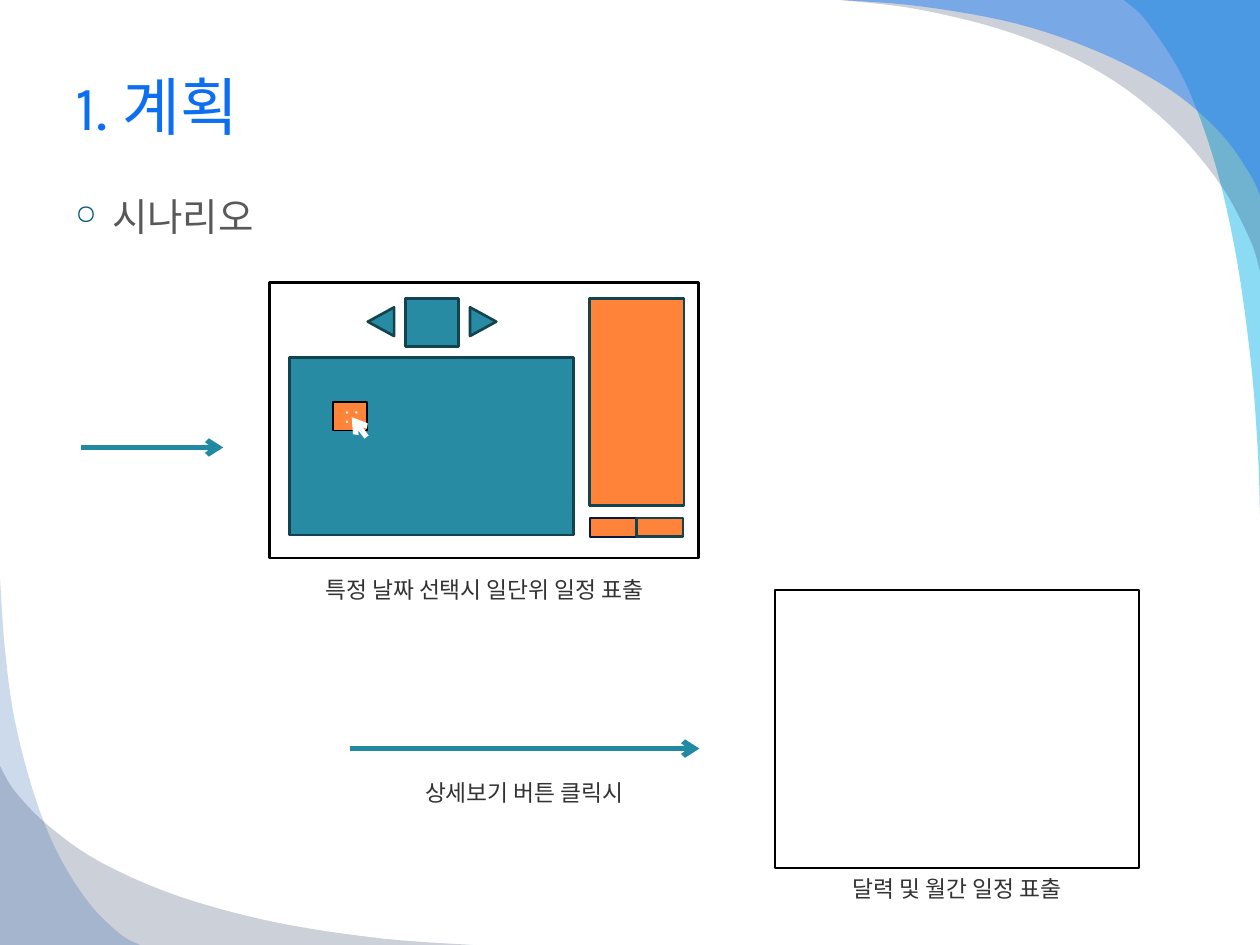
import dataclasses

import lxml.etree
import pptx
import pptx.dml.color
import pptx.enum.shapes
import pptx.enum.text
import pptx.oxml.ns
import pptx.util

Cm = pptx.util.Cm
Pt = pptx.util.Pt
SHAPES = pptx.enum.shapes.MSO_SHAPE
ALIGN = pptx.enum.text.PP_ALIGN
ANCHOR = pptx.enum.text.MSO_ANCHOR
qn = pptx.oxml.ns.qn


@dataclasses.dataclass(frozen=True)
class Theme:
    heading_font: str = "Karla"
    caption_font: str = "Arial"
    title_size: int = 36
    body_size: int = 22
    caption_size: int = 13
    title: str = "0C6FF2"
    body: str = "595959"
    bullet: str = "005876"
    caption: str = "323232"
    teal: str = "268BA3"
    teal_edge: str = "12434E"
    arrow: str = "2289A2"
    orange: str = "FF843A"
    button_edge: str = "031C3C"
    black: str = "000000"
    white: str = "FFFFFF"
    cyan: str = "00B1E9"
    navy: str = "021741"
    sky: str = "247FF4"
    royal: str = "084AA1"


THEME = Theme()

# Each swoosh: colour, opacity in %, slide corner it fills, points on its curve (cm)
SWOOSHES = [
    (THEME.cyan, 45, (25.4, 0),
     [(22.66, 0), (23.14, 0.46), (23.88, 1.63), (24.49, 3.28),
      (24.92, 5.16), (25.22, 7.32), (25.36, 9.14), (25.4, 10.36)]),
    (THEME.navy, 20, (25.4, 0),
     [(16.94, 0), (18.57, 0.2), (20.47, 0.69), (22.2, 1.47),
      (23.6, 2.54), (24.61, 3.73), (25.2, 4.83), (25.4, 5.46)]),
    (THEME.sky, 49, (25.4, 0),
     [(16.94, 0), (18.57, 0.13), (20.5, 0.48), (22.2, 1.07),
      (23.62, 1.83), (24.61, 2.69), (25.2, 3.51), (25.4, 3.94)]),
    (THEME.navy, 20, (0, 19.05),
     [(0, 15.44), (0.3, 15.95), (0.97, 16.64), (2.01, 17.37),
      (3.58, 18.06), (5.54, 18.59), (7.7, 18.92), (9.53, 19.05)]),
    (THEME.royal, 20, (0, 19.05),
     [(2.82, 19.05), (2.41, 18.82), (1.8, 18.21), (1.19, 17.25),
      (0.71, 16.08), (0.3, 14.53), (0.1, 13.08), (0, 11.63)]),
]


def rgb(colour):
    return pptx.dml.color.RGBColor.from_string(colour)


def smooth(points, steps=6):
    """Catmull-Rom curve through the points."""
    padded = [points[0], *points, points[-1]]
    curve = []
    for a, b, c, d in zip(padded, padded[1:], padded[2:], padded[3:]):
        for step in range(steps):
            t = step / steps
            curve.append(tuple(
                (2 * q + (r - p) * t + (2 * p - 5 * q + 4 * r - s) * t ** 2
                 + (3 * q - p - 3 * r + s) * t ** 3) / 2
                for p, q, r, s in zip(a, b, c, d)))
    return curve + [points[-1]]


def add_swoosh(slide, colour, opacity, corner, points):
    outline = [(Cm(x), Cm(y)) for x, y in smooth(points)]
    builder = slide.shapes.build_freeform(Cm(corner[0]), Cm(corner[1]))
    builder.add_line_segments(outline, close=True)
    swoosh = builder.convert_to_shape()
    swoosh.shadow.inherit = False
    swoosh.line.fill.background()
    swoosh.fill.solid()
    swoosh.fill.fore_color.rgb = rgb(colour)
    tint = swoosh.fill._xPr.find(".//" + qn("a:srgbClr"))
    lxml.etree.SubElement(tint, qn("a:alpha"), val=str(opacity * 1000))


def add_block(slide, box, fill=None, edge=THEME.teal_edge, weight=1.5,
              kind=SHAPES.RECTANGLE, rotation=0):
    block = slide.shapes.add_shape(kind, *map(Cm, box))
    block.shadow.inherit = False
    block.rotation = rotation
    if fill:
        block.fill.solid()
        block.fill.fore_color.rgb = rgb(fill)
    else:
        block.fill.background()
    block.line.color.rgb = rgb(edge)
    block.line.width = Pt(weight)


def add_arrow(slide, start, end, colour=THEME.arrow):
    arrow = slide.shapes.add_connector(
        pptx.enum.shapes.MSO_CONNECTOR.STRAIGHT, *map(Cm, (*start, *end)))
    arrow.line.color.rgb = rgb(colour)
    arrow.line.width = Pt(3)
    lxml.etree.SubElement(arrow.line._get_or_add_ln(), qn("a:tailEnd"), type="arrow")
    lxml.etree.SubElement(arrow._element.spPr, qn("a:effectLst"))


def add_text(slide, box, words, font, size, colour, align=ALIGN.LEFT,
             anchor=ANCHOR.TOP, bullet=None):
    frame = slide.shapes.add_textbox(*map(Cm, box)).text_frame
    frame.word_wrap = True
    frame.vertical_anchor = anchor
    line = frame.paragraphs[0]
    line.text = words
    line.alignment = align
    if bullet:
        add_bullet(line, bullet)
    line.font.name = font
    line.font.size = Pt(size)
    line.font.color.rgb = rgb(colour)


def add_bullet(line, symbol):
    props = line._p.get_or_add_pPr()
    indent = Cm(0.74)
    props.set("marL", str(indent))
    props.set("indent", str(-indent))
    tint = lxml.etree.SubElement(props, qn("a:buClr"))
    lxml.etree.SubElement(tint, qn("a:srgbClr"), val=THEME.bullet)
    lxml.etree.SubElement(props, qn("a:buSzPct"), val="70000")
    lxml.etree.SubElement(props, qn("a:buChar"), char=symbol)


def add_caption(slide, box, words):
    add_text(slide, box, words, THEME.caption_font, THEME.caption_size,
             THEME.caption, align=ALIGN.CENTER)


def add_day_screen(slide):
    # Window, calendar and schedule panel
    add_block(slide, (5.44, 5.69, 8.64, 5.56), edge=THEME.black)
    add_block(slide, (5.84, 7.21, 5.72, 3.58), THEME.teal)
    add_block(slide, (11.89, 6.02, 1.9, 4.17), THEME.orange)
    # Month with previous and next buttons
    add_block(slide, (8.18, 6.02, 1.07, 0.97), THEME.teal)
    for left, rotation in ((7.39, 270), (9.45, 90)):
        add_block(slide, (left, 6.22, 0.58, 0.53), THEME.teal,
                  kind=SHAPES.ISOSCELES_TRIANGLE, rotation=rotation)
    # Chosen day and the two buttons below the panel
    add_block(slide, (6.71, 8.1, 0.69, 0.58), THEME.orange, THEME.black, 1)
    add_block(slide, (11.89, 10.44, 0.94, 0.38), THEME.orange, THEME.button_edge, 1)
    add_block(slide, (12.83, 10.44, 0.94, 0.38), THEME.orange)
    # Mouse pointer with click marks
    add_arrow(slide, (7.39, 8.81), (7.09, 8.41), THEME.white)
    add_block(slide, (6.99, 8.31, 0.2, 0.2), edge=THEME.white, weight=1,
              kind=SHAPES.CORNER_TABS)


def main():
    deck = pptx.Presentation()
    deck.slide_width, deck.slide_height = Cm(25.4), Cm(19.05)
    slide = deck.slides.add_slide(deck.slide_layouts[6])

    # Corner decoration
    for swoosh in SWOOSHES:
        add_swoosh(slide, *swoosh)

    # Headings
    add_text(slide, (1.27, 0.84, 22.86, 2.57), "1. 계획", THEME.heading_font,
             THEME.title_size, THEME.title, anchor=ANCHOR.MIDDLE)
    add_text(slide, (1.27, 3.76, 22.86, 1.37), "시나리오", THEME.heading_font,
             THEME.body_size, THEME.body, bullet="○")

    # Step one: day schedule
    add_arrow(slide, (1.63, 9.02), (4.5, 9.02))
    add_day_screen(slide)
    add_caption(slide, (5.44, 11.48, 8.64, 0.79), "특정 날짜 선택시 일단위 일정 표출")

    # Step two: month schedule
    add_arrow(slide, (7.06, 15.09), (14.1, 15.09))
    add_caption(slide, (7.06, 15.57, 7.01, 0.81), "상세보기 버튼 클릭시")
    add_block(slide, (15.62, 11.89, 7.34, 5.61), edge=THEME.black, weight=1)
    add_caption(slide, (15.62, 17.5, 7.34, 0.79), "달력 및 월간 일정 표출")

    deck.save("out.pptx")


if __name__ == "__main__":
    main()
